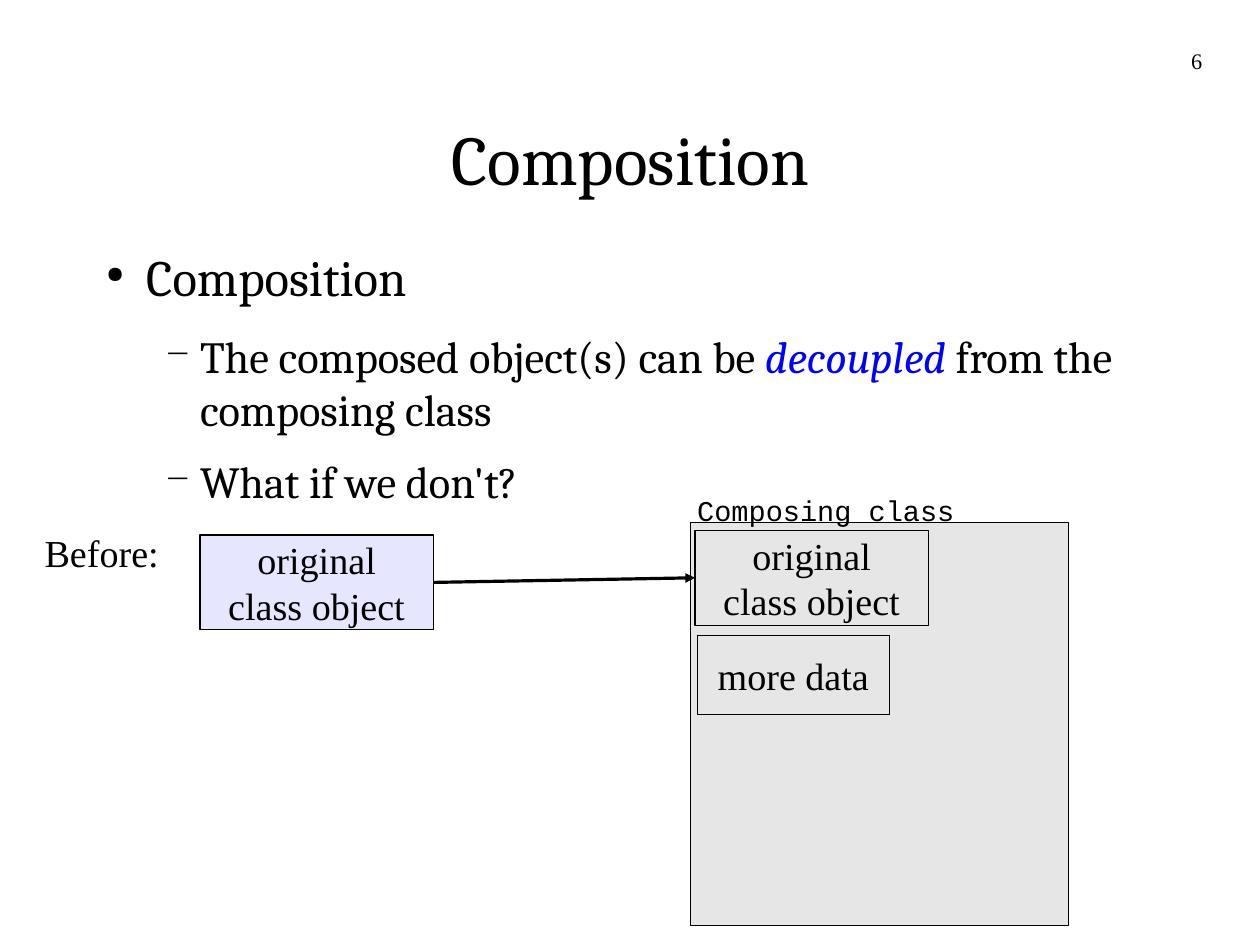
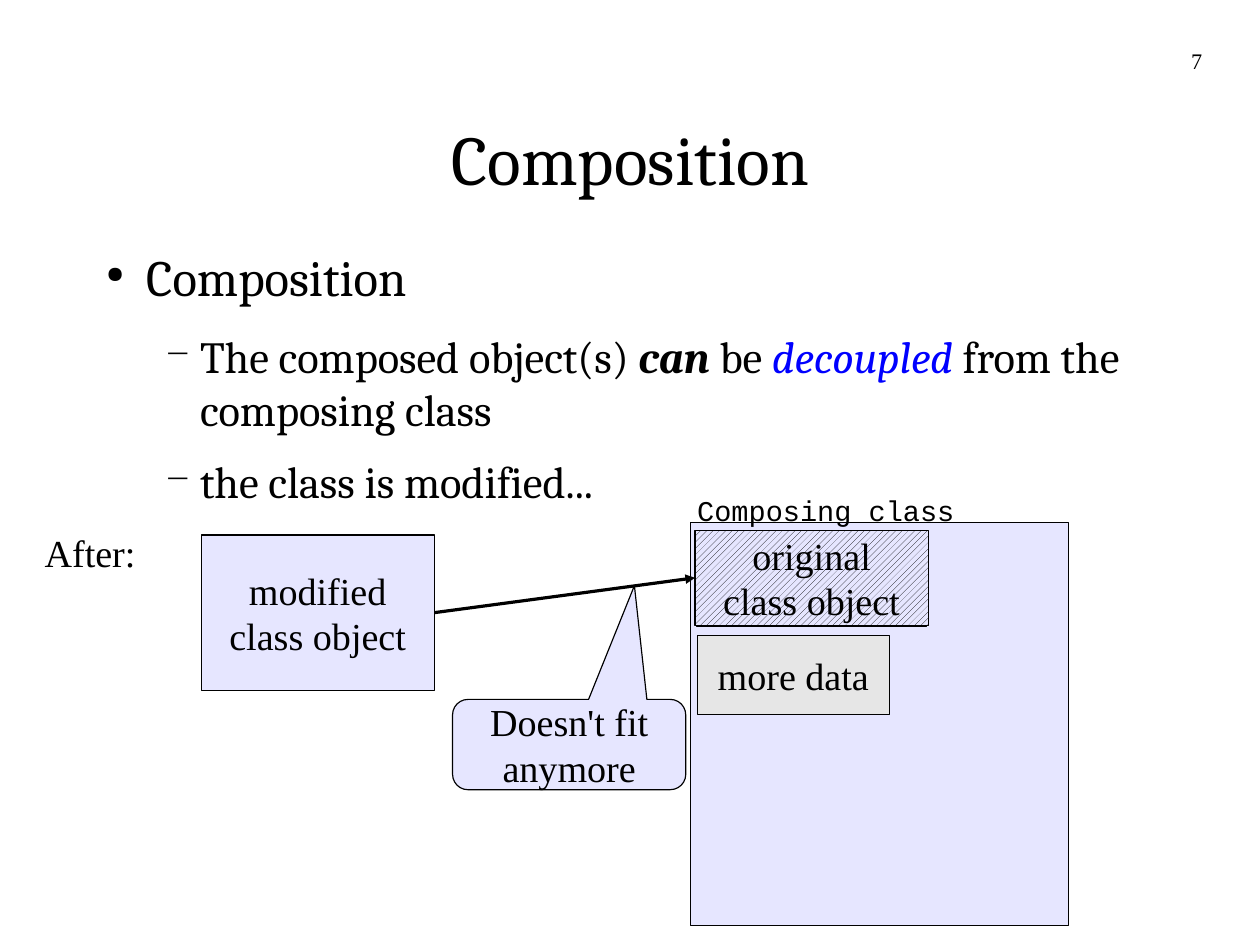
import pptx
import pptx.util
import pptx.dml.color
import pptx.enum.dml
import pptx.enum.shapes
import pptx.enum.text
import pptx.oxml.ns
import lxml.etree

Pt = pptx.util.Pt
Align = pptx.enum.text.PP_ALIGN
Anchor = pptx.enum.text.MSO_ANCHOR
Shape = pptx.enum.shapes.MSO_SHAPE


class Deck:
    """Holds the shared style and the current page of the presentation."""

    COLOURS = {"ink": "000000", "accent": "0000FF", "grey": "E6E6E6", "lavender": "E6E6FF"}
    FORMATS = {
        "title": {"name": "Cambria", "size": Pt(44)},
        "topic": {"name": "Cambria", "size": Pt(32)},
        "point": {"name": "Cambria", "size": Pt(28)},
        "diagram": {"name": "Times New Roman", "size": Pt(24)},
        "code": {"name": "Courier New", "size": Pt(18)},
        "number": {"name": "Times New Roman", "size": Pt(14)},
    }
    EMPHASIS = {
        "plain": ("ink", {}),
        "key": ("accent", {"italic": True}),
        "strong": ("ink", {"bold": True, "italic": True}),
    }
    BULLETS = {
        "topic": {"char": "●", "scale": 45, "left": 33.8, "hang": 25.2, "after": 14.1},
        "point": {"char": "−", "scale": 75, "left": 67.7, "hang": 22.3, "after": 11.3},
    }

    def __init__(self):
        self.deck = pptx.Presentation()
        self.deck.slide_width, self.deck.slide_height = Pt(793.7), Pt(595.3)
        self.page = None

    def colour(self, name):
        return pptx.dml.color.RGBColor.from_string(self.COLOURS[name])

    def new_page(self, title, number):
        self.page = self.deck.slides.add_slide(self.deck.slide_layouts[6])
        self.text((58.3, 49.7, 677.5, 99.4), title, "title",
                  align=Align.CENTER, anchor=Anchor.MIDDLE, wrap=True)
        self.text((572.4, 29.5, 185, 41), number, "number", align=Align.RIGHT, wrap=True)

    def prepare(self, frame, anchor, wrap):
        values = {"margin_left": 0, "margin_top": 0, "margin_right": 0, "margin_bottom": 0,
                  "vertical_anchor": anchor, "word_wrap": wrap}
        for name, value in values.items():
            setattr(frame, name, value)

    def paragraph(self, frame, index, spans, style):
        para = frame.add_paragraph() if index else frame.paragraphs[0]
        for words, emphasis in spans:
            span = para.add_run()
            span.text = words
            colour, extra = self.EMPHASIS[emphasis]
            for name, value in {**self.FORMATS[style], **extra}.items():
                setattr(span.font, name, value)
            span.font.color.rgb = self.colour(colour)
        return para

    def fill_text(self, frame, words, style, align, anchor, wrap):
        self.prepare(frame, anchor, wrap)
        for index, line in enumerate(words.split("\n")):
            self.paragraph(frame, index, [(line, "plain")], style).alignment = align

    def text(self, place, words, style, align=Align.LEFT, anchor=Anchor.TOP, wrap=False):
        box = self.page.shapes.add_textbox(*map(Pt, place))
        self.fill_text(box.text_frame, words, style, align, anchor, wrap)

    def bullets(self, items):
        frame = self.page.shapes.add_textbox(Pt(58.3), Pt(154.8), Pt(697.7), Pt(402.5)).text_frame
        self.prepare(frame, Anchor.TOP, True)
        for index, (style, spans) in enumerate(items):
            bullet = self.BULLETS[style]
            para = self.paragraph(frame, index, spans, style)
            para.level = 0 if style == "topic" else 1
            para.space_after = Pt(bullet["after"])
            properties = para._p.get_or_add_pPr()
            properties.set("marL", str(Pt(bullet["left"])))
            properties.set("indent", str(-Pt(bullet["hang"])))
            tag = pptx.oxml.ns.qn
            tint = lxml.etree.SubElement(properties, tag("a:buClr"))
            lxml.etree.SubElement(tint, tag("a:srgbClr"), val=self.COLOURS["ink"])
            lxml.etree.SubElement(properties, tag("a:buSzPct"), val=str(bullet["scale"] * 1000))
            lxml.etree.SubElement(properties, tag("a:buChar"), char=bullet["char"])

    def box(self, place, fill, words="", kind=Shape.RECTANGLE, hatched=False, adjust=()):
        box = self.page.shapes.add_shape(kind, *map(Pt, place))
        box.shadow.inherit = False
        for index, value in enumerate(adjust):
            box.adjustments[index] = value
        if hatched:
            box.fill.patterned()
            box.fill.pattern = pptx.enum.dml.MSO_PATTERN.WIDE_UPWARD_DIAGONAL
            box.fill.fore_color.rgb = self.colour("ink")
            box.fill.back_color.rgb = self.colour(fill)
        else:
            box.fill.solid()
            box.fill.fore_color.rgb = self.colour(fill)
        box.line.color.rgb = self.colour("ink")
        box.line.width = Pt(0)
        if words:
            self.fill_text(box.text_frame, words, "diagram", Align.CENTER, Anchor.MIDDLE, False)
        return box

    def arrow(self, start, end):
        arrow = self.page.shapes.add_connector(pptx.enum.shapes.MSO_CONNECTOR.STRAIGHT, 0, 0, 0, 0)
        arrow.begin_connect(start, 3)
        arrow.end_connect(end, 1)
        arrow.line.color.rgb = self.colour("ink")
        arrow.line.width = Pt(0)
        tag = pptx.oxml.ns.qn
        lxml.etree.SubElement(arrow.line._get_or_add_ln(), tag("a:tailEnd"), type="triangle")
        lxml.etree.SubElement(arrow._element.spPr, tag("a:effectLst"))

    def composition(self, stage, panel_fill, source_place, source_words, modified):
        self.box((434.9, 329, 238.3, 254.2), panel_fill)
        self.text((439.2, 310.3, 162.7, 20.9), "Composing class", "code")
        if modified:
            self.box((438.5, 334.8, 145.4, 59.8), "lavender")
        source = self.box(source_place, "lavender", source_words)
        member = self.box((437.8, 334.1, 146.9, 59.8), panel_fill,
                          "original\nclass object", hatched=modified)
        self.box((439.2, 400.3, 121, 49.7), "grey", "more data")
        self.arrow(source, member)
        self.text((28.1, 333.4, 82.1, 33.1), stage, "diagram")


def main():
    deck = Deck()
    topic = ("topic", [("Composition", "plain")])
    ending = [("decoupled", "key"), (" from the composing class", "plain")]

    deck.new_page("Composition", "6")
    deck.bullets([
        topic,
        ("point", [("The composed object(s) can be ", "plain")] + ending),
        ("point", [("What if we don't?", "plain")]),
    ])
    deck.composition("Before:", "grey", (126, 337, 146.9, 59.8),
                     "original\nclass object", modified=False)

    deck.new_page("Composition", "7")
    deck.bullets([
        topic,
        ("point", [("The composed object(s) ", "plain"), ("can", "strong"),
                   (" be ", "plain")] + ending),
        ("point", [("the class is modified...", "plain")]),
    ])
    deck.composition("After:", "lavender", (126.7, 337, 146.9, 97.9),
                     "modified\nclass object", modified=True)
    deck.box((285.1, 440.6, 146.9, 56.9), "lavender", "Doesn't fit\nanymore",
             kind=Shape.ROUNDED_RECTANGULAR_CALLOUT, adjust=(0.28, -1.76, 0.17))

    deck.deck.save("out.pptx")


if __name__ == "__main__":
    main()
